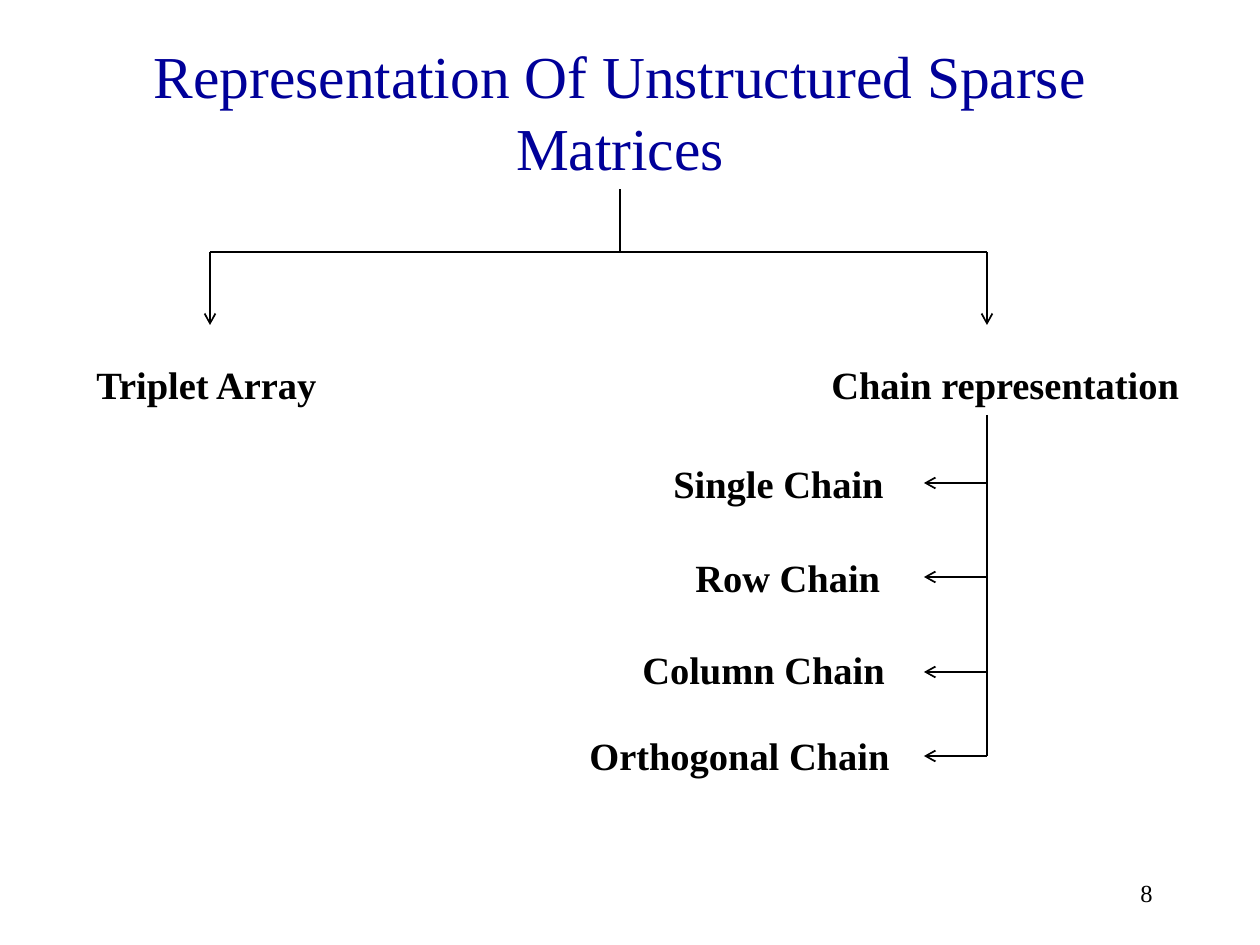
import pptx
import pptx.dml.color
import pptx.enum.shapes
import pptx.enum.text
import pptx.oxml.ns
import pptx.oxml.xmlchemy
import pptx.util

EMU_PER_PX = 914400 / 126
FONT = "Times New Roman"
COLOURS = {"title": "000099", "ink": "000000"}
ALIGN = pptx.enum.text.PP_ALIGN
ANCHOR = pptx.enum.text.MSO_ANCHOR
LEFT_BRANCH, RIGHT_BRANCH, STEM = 210, 987, 620
TITLE_BOTTOM, BAR, BRANCH_END = 189, 252, 325
CHAIN_ARROW_END = 924
LABEL_HEIGHT = 59
CHAINS = [
    ("Single Chain", 661, 454, 241, 483),
    ("Row Chain", 683, 548, 219, 577),
    ("Column Chain", 630, 640, 272, 672),
    ("Orthogonal Chain", 577, 726, 336, 756),
]


def px(length):
    """Turn pixels into EMU."""
    return pptx.util.Emu(round(length * EMU_PER_PX))


def add_text(slide, text, bounds, size, colour="ink", bold=False,
             align=ALIGN.LEFT, anchor=ANCHOR.TOP, wrap=True):
    """Add a text box with one run and return it."""
    box = slide.shapes.add_textbox(*map(px, bounds))
    frame = box.text_frame
    frame.word_wrap = wrap
    frame.vertical_anchor = anchor
    para = frame.paragraphs[0]
    para.alignment = align
    span = para.add_run()
    span.text = text
    span.font.name = FONT
    span.font.size = pptx.util.Pt(size)
    span.font.bold = bold
    span.font.color.rgb = pptx.dml.color.RGBColor.from_string(COLOURS[colour])
    return box


def add_label(slide, text, left, top, width):
    """Add a bold tree label that grows with its text."""
    box = add_text(slide, text, (left, top, width, LABEL_HEIGHT), 22, bold=True)
    box.text_frame.auto_size = pptx.enum.text.MSO_AUTO_SIZE.SHAPE_TO_FIT_TEXT


def add_line(slide, start, end, arrow=False):
    """Add a thin straight line, with an open arrowhead if asked."""
    line = slide.shapes.add_connector(
        pptx.enum.shapes.MSO_CONNECTOR.STRAIGHT, *map(px, start + end))
    line.line.width = pptx.util.Pt(1)
    line.line.color.rgb = pptx.dml.color.RGBColor.from_string(COLOURS["ink"])
    properties = line._element.find(pptx.oxml.ns.qn("p:spPr"))
    if arrow:
        head = pptx.oxml.xmlchemy.OxmlElement("a:tailEnd")
        head.set("type", "arrow")
        properties.find(pptx.oxml.ns.qn("a:ln")).append(head)
    properties.append(pptx.oxml.xmlchemy.OxmlElement("a:effectLst"))
    return line


def main():
    """Build the slide with the tree of representations."""
    deck = pptx.Presentation()
    deck.slide_width, deck.slide_height = px(1260), px(945)
    page = deck.slides.add_slide(deck.slide_layouts[6])

    add_text(page, "8", (903, 861, 262, 63), 14,
             align=ALIGN.RIGHT, anchor=ANCHOR.MIDDLE, wrap=False)
    title = add_text(page, "Representation Of Unstructured Sparse Matrices",
                     (84, 32, 1072, TITLE_BOTTOM - 32), 34, "title",
                     align=ALIGN.CENTER, anchor=ANCHOR.MIDDLE)

    stem = add_line(page, (STEM, TITLE_BOTTOM), (STEM, BAR))
    stem.begin_connect(title, 2)
    add_line(page, (LEFT_BRANCH, BAR), (RIGHT_BRANCH, BAR))
    for branch in (LEFT_BRANCH, RIGHT_BRANCH):
        add_line(page, (branch, BAR), (branch, BRANCH_END), arrow=True)
    add_label(page, "Triplet Array", 84, 355, 252)
    add_label(page, "Chain representation", 819, 355, 420)

    add_line(page, (RIGHT_BRANCH, 415), (RIGHT_BRANCH, CHAINS[-1][-1]))
    for text, left, top, width, level in CHAINS:
        add_line(page, (RIGHT_BRANCH, level), (CHAIN_ARROW_END, level), arrow=True)
        add_label(page, text, left, top, width)

    deck.save("out.pptx")


if __name__ == "__main__":
    main()
